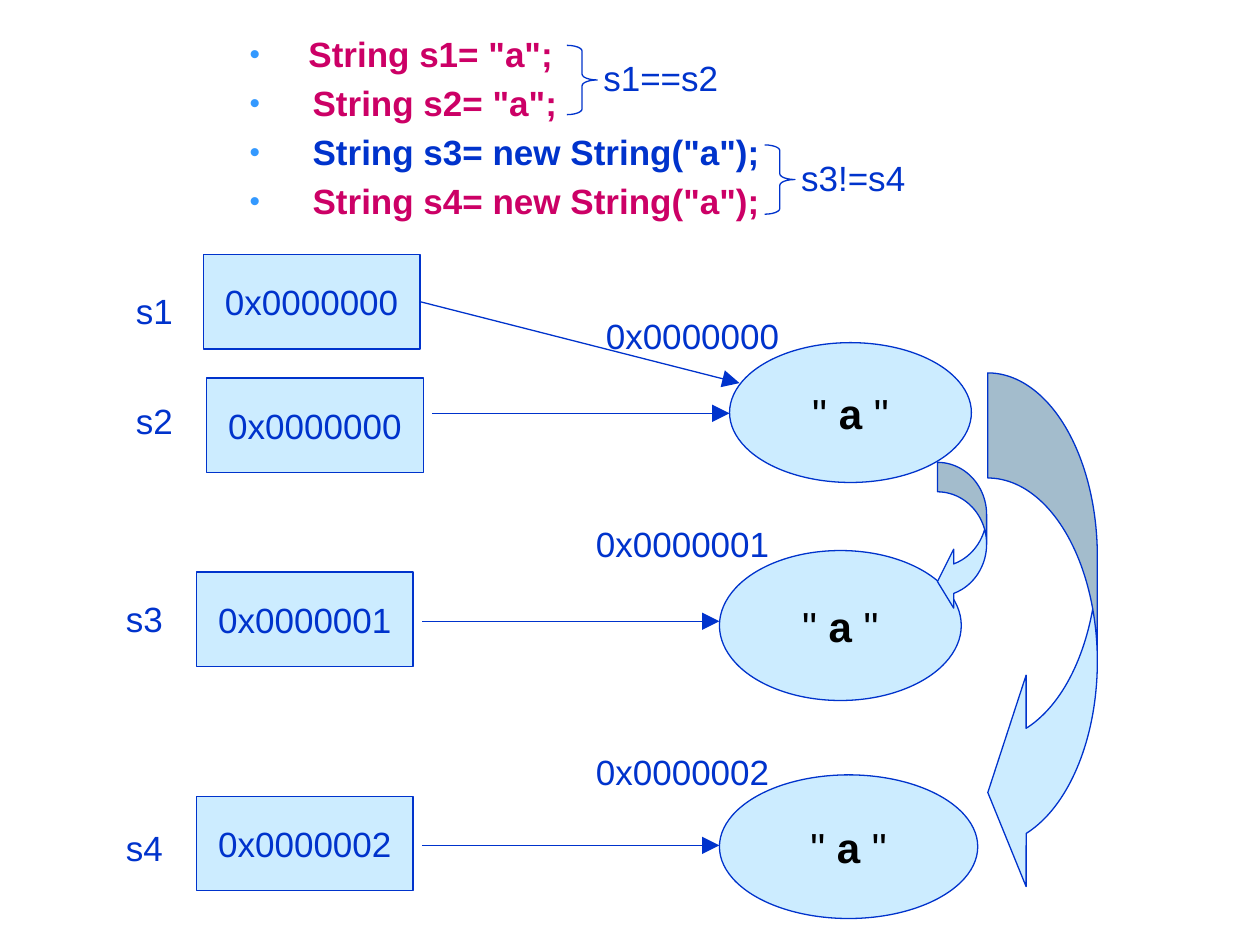
from lxml import etree
from pptx import Presentation
from pptx.dml.color import RGBColor
from pptx.enum.shapes import MSO_CONNECTOR, MSO_SHAPE
from pptx.enum.text import MSO_ANCHOR, MSO_AUTO_SIZE, PP_ALIGN
from pptx.oxml.ns import qn
from pptx.util import Pt

RECTANGLE, OVAL = MSO_SHAPE.RECTANGLE, MSO_SHAPE.OVAL
BRACE, CURVED_ARROW = MSO_SHAPE.RIGHT_BRACE, MSO_SHAPE.CURVED_LEFT_ARROW
STRAIGHT = MSO_CONNECTOR.STRAIGHT
MIDDLE, TOP = MSO_ANCHOR.MIDDLE, MSO_ANCHOR.TOP
LEFT, CENTER = PP_ALIGN.LEFT, PP_ALIGN.CENTER
NO_AUTOFIT, GROW = MSO_AUTO_SIZE.NONE, MSO_AUTO_SIZE.SHAPE_TO_FIT_TEXT

COLORS = {"blue": "0033CC", "pink": "CC0066", "bullet": "3399FF",
          "pale": "CCECFF", "black": "000000"}
FONT = "Arial"
BOX_SIZE = (123.8, 54)
BRACE_SIZE = (17.3, 39.6)
LABEL_HEIGHT = 31
NAME_WIDTH = 36.5
ADDRESS_WIDTH = 114

CODE = [
    ('  String s1= "a";', "pink"),
    ('\tString s2= "a";', "pink"),
    ('\tString s3= new String("a");', "blue"),
    ('\tString s4= new String("a");', "pink"),
]
VARIABLES = [
    ("s1", (70.6, 162), "0x0000000", (116.2, 145.4)),
    ("s2", (70.6, 224.6), "0x0000000", (118.1, 216)),
    ("s3", (64.8, 337.7), "0x0000001", (112.3, 326.9)),
    ("s4", (64.8, 468.7), "0x0000002", (112.3, 455)),
]
OBJECTS = [
    ("0x0000000", (339.1, 176.4), (416.9, 195.8, 138.2, 79.9)),
    ("0x0000001", (333.4, 295.2), (411.1, 314.6, 138.2, 85.7)),
    ("0x0000002", (333.4, 425.5), (411.1, 442.8, 147.6, 82.1)),
]
REFERENCES = [
    (241.2, 173.5, 422.6, 218.9),
    (247, 236.2, 416.9, 236.2),
    (241.2, 355, 411.1, 355),
    (241.2, 483.1, 411.1, 483.1),
]
COMPARISONS = [
    ("s1==s2", (324, 25.9), (337.7, 28.8, 80.5)),
    ("s3!=s4", (437, 82.8), (450.7, 85.7, 75)),
]
CURVED_ARROWS = [
    ((535.7, 264.2, 28.1, 85), (0.6, 1.2, 0.33)),
    ((564.5, 213.1, 62.6, 300.2), (0.96, 1.93, 0.35)),
]


def color(name):
    return RGBColor.from_string(COLORS[name])


def style(span, name="blue", size=20, bold=False):
    span.font.name = FONT
    span.font.size = Pt(size)
    span.font.bold = bold
    span.font.color.rgb = color(name)


def outline(item):
    item.line.color.rgb = color("blue")
    item.line.width = Pt(0.75)


def add_outlined(slide, kind, frame, fill="pale", adjustments=()):
    shape = slide.shapes.add_shape(kind, *map(Pt, frame))
    shape.shadow.inherit = False
    if fill:
        shape.fill.solid()
        shape.fill.fore_color.rgb = color(fill)
    else:
        shape.fill.background()
    outline(shape)
    for index, value in enumerate(adjustments):
        shape.adjustments[index] = value
    return shape


def center_text(shape):
    shape.text_frame.word_wrap = False
    shape.text_frame.vertical_anchor = MIDDLE
    para = shape.text_frame.paragraphs[0]
    para.alignment = CENTER
    return para


def add_label(slide, text, left, top, width):
    box = slide.shapes.add_textbox(Pt(left), Pt(top), Pt(width), Pt(LABEL_HEIGHT))
    box.text_frame.word_wrap = False
    box.text_frame.auto_size = GROW
    box.text_frame.text = text
    style(box.text_frame.paragraphs[0].runs[0])


def add_code(slide):
    slide.shapes.title.element.getparent().remove(slide.shapes.title.element)
    body = slide.placeholders[1]
    body.left, body.top, body.width, body.height = map(Pt, (99.4, 15.1, 589.7, 130.3))
    frame = body.text_frame
    frame.auto_size = NO_AUTOFIT
    frame.vertical_anchor = TOP
    for index, (text, name) in enumerate(CODE):
        para = frame.add_paragraph() if index else frame.paragraphs[0]
        para.text = text
        para.level = 1
        para.alignment = LEFT
        style(para.runs[0], name, bold=True)
        properties = para._p.get_or_add_pPr()
        properties.set("marL", str(Pt(58.5)))
        properties.set("indent", str(Pt(-22.5)))
        properties.set("defTabSz", str(Pt(72)))
        before = etree.SubElement(properties, qn("a:spcBef"))
        etree.SubElement(before, qn("a:spcPct"), val="20000")
        bullet_color = etree.SubElement(properties, qn("a:buClr"))
        etree.SubElement(bullet_color, qn("a:srgbClr"), val=COLORS["bullet"])
        etree.SubElement(properties, qn("a:buSzPct"), val="85000")
        etree.SubElement(properties, qn("a:buFont"), typeface=FONT)
        etree.SubElement(properties, qn("a:buChar"), char="•")


def add_variable(slide, name, name_at, address, box_at):
    add_label(slide, name, *name_at, NAME_WIDTH)
    box = add_outlined(slide, RECTANGLE, box_at + BOX_SIZE)
    para = center_text(box)
    para.text = address
    style(para.runs[0])
    return box


def add_object(slide, address, address_at, frame):
    para = center_text(add_outlined(slide, OVAL, frame))
    for text, bold in (('" ', False), ("a ", True), ('"', False)):
        span = para.add_run()
        span.text = text
        style(span, "black", 24, bold)
    add_label(slide, address, *address_at, ADDRESS_WIDTH)


def add_reference(slide, ends):
    arrow = slide.shapes.add_connector(STRAIGHT, *map(Pt, ends))
    outline(arrow)
    etree.SubElement(arrow.line._get_or_add_ln(), qn("a:tailEnd"),
                     type="triangle", w="lg", len="lg")
    etree.SubElement(arrow._element.spPr, qn("a:effectLst"))
    return arrow


def main():
    deck = Presentation()
    deck.slide_width, deck.slide_height = Pt(720), Pt(540)
    slide = deck.slides.add_slide(deck.slide_layouts[1])
    add_code(slide)
    boxes = [add_variable(slide, *variable) for variable in VARIABLES]
    for item in OBJECTS:
        add_object(slide, *item)
    arrows = [add_reference(slide, ends) for ends in REFERENCES]
    arrows[0].begin_connect(boxes[0], 3)
    for text, brace_at, label_at in COMPARISONS:
        add_outlined(slide, BRACE, brace_at + BRACE_SIZE, None, (0.19, 0.5))
        add_label(slide, text, *label_at)
    for frame, adjustments in CURVED_ARROWS:
        add_outlined(slide, CURVED_ARROW, frame, adjustments=adjustments)
    deck.save("out.pptx")


if __name__ == "__main__":
    main()
